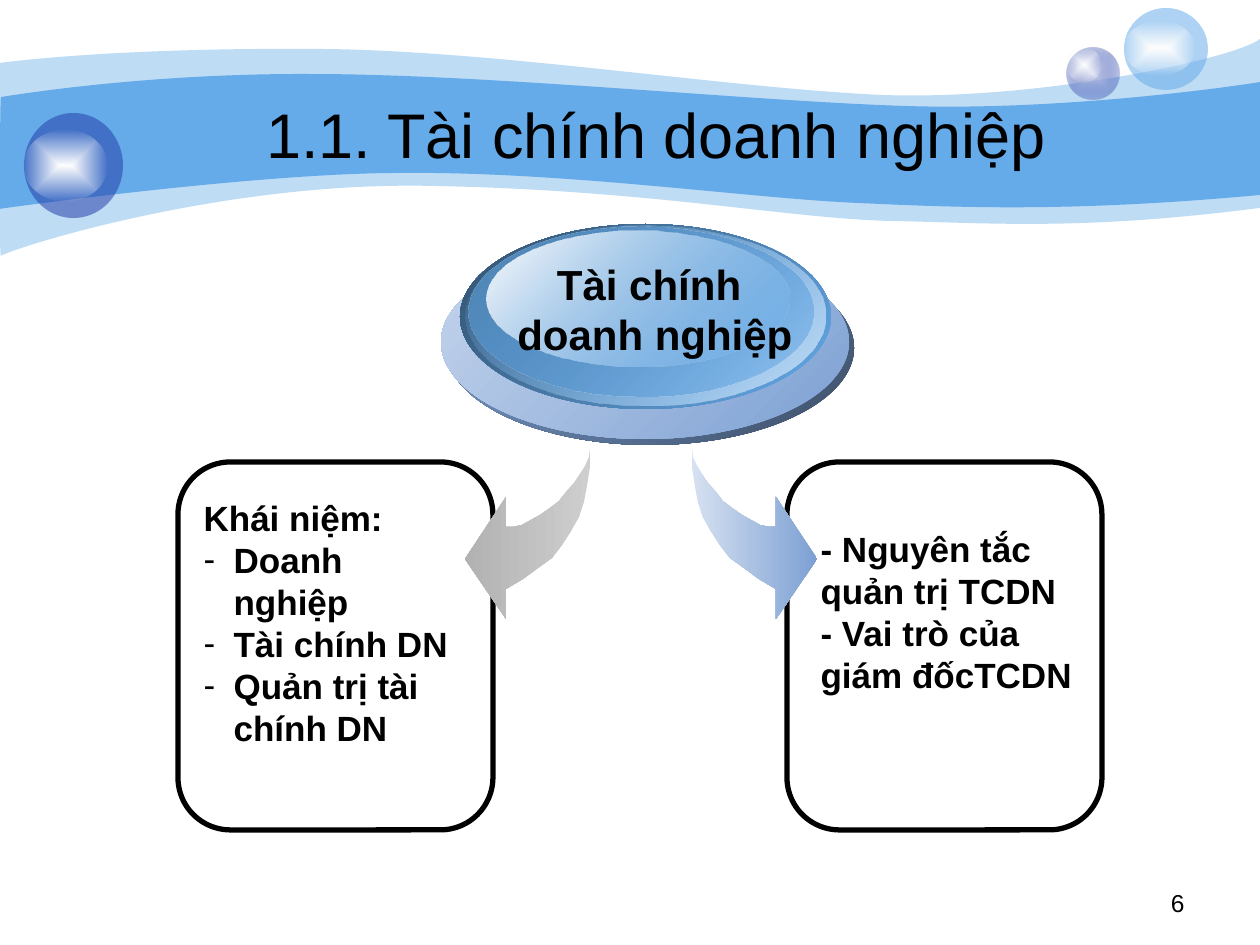
from typing import NamedTuple

from lxml import etree
from pptx import Presentation
from pptx import util as u
from pptx.dml.color import RGBColor
from pptx.enum import shapes, text
from pptx.oxml.ns import qn

PX = 914400 / 126
BLACK, BLUE, NAVY, STEEL, WHITE = "000000", "65AAE9", "233DA9", "7DA0D3", "FFFFFF"
SHAPE = shapes.MSO_SHAPE
ALIGN = text.PP_ALIGN


class Box(NamedTuple):
    left: int
    top: int
    width: int
    height: int


class Stop(NamedTuple):
    color: str
    alpha: int = 100


class Paint(NamedTuple):
    """One stop is a flat fill; two make a gradient, radial when angle is None."""
    stops: tuple[Stop, ...]
    angle: int | None = None


class Oval(NamedTuple):
    box: Box
    paint: Paint


class Line(NamedTuple):
    words: str
    dashed: bool = False


def px(length: float) -> u.Emu:
    return u.Emu(round(length * PX))


def rgb(color: str) -> RGBColor:
    return RGBColor.from_string(color)


def add_color(parent, stop: Stop) -> None:
    color = etree.SubElement(parent, qn("a:srgbClr"), val=stop.color)
    if stop.alpha < 100:
        etree.SubElement(color, qn("a:alpha"), val=str(stop.alpha * 1000))


def paint_shape(shape, paint: Paint) -> None:
    shape.shadow.inherit = False
    shape.line.fill.background()
    if len(paint.stops) == 1:
        shape.fill.solid()
        solid = shape._element.spPr.find(qn("a:solidFill"))
        solid.clear()
        add_color(solid, paint.stops[0])
        return
    shape.fill.gradient()
    gradient = shape._element.spPr.find(qn("a:gradFill"))
    gradient.clear()
    gradient.set("rotWithShape", "1")
    stop_list = etree.SubElement(gradient, qn("a:gsLst"))
    for position, stop in zip((0, 100000), paint.stops):
        add_color(etree.SubElement(stop_list, qn("a:gs"), pos=str(position)), stop)
    if paint.angle is None:
        radial = etree.SubElement(gradient, qn("a:path"), {"path": "rect"})
        etree.SubElement(radial, qn("a:fillToRect"), dict.fromkeys("ltrb", "50000"))
    else:
        etree.SubElement(gradient, qn("a:lin"), ang=str(paint.angle * 60000), scaled="1")


def add_preset(slide, kind, box: Box):
    return slide.shapes.add_shape(kind, *map(px, box))


def add_oval(slide, oval: Oval) -> None:
    paint_shape(add_preset(slide, SHAPE.OVAL, oval.box), oval.paint)


def add_card(slide, box: Box) -> None:
    card = add_preset(slide, SHAPE.ROUNDED_RECTANGLE, box)
    card.shadow.inherit = False
    card.fill.background()
    card.line.color.rgb = rgb(BLACK)
    card.line.width = u.Pt(3)


def add_outline(slide, nodes: list[tuple[int, ...]], paint: Paint) -> None:
    """Draw corners (x, y) and cubic curves (two controls and an end)."""
    corners = [node[-2:] for node in nodes]
    builder = slide.shapes.build_freeform(*corners[0], scale=PX)
    builder.add_line_segments(corners[1:], close=True)
    outline = builder.convert_to_shape()
    left, top = (min(axis) for axis in zip(*corners))
    segments = next(outline._element.iter(qn("a:lnTo"))).getparent()
    for segment, node in zip(list(segments)[1:], nodes[1:]):
        if len(node) == 6:
            curve = etree.Element(qn("a:cubicBezTo"))
            for x, y in zip(node[::2], node[1::2]):
                etree.SubElement(curve, qn("a:pt"), x=str(x - left), y=str(y - top))
            segments.replace(segment, curve)
    paint_shape(outline, paint)


def write(holder, box: Box, lines: list[Line], size: int, bold: bool = False,
          align=ALIGN.LEFT, wrap: bool = True) -> None:
    holder.left, holder.top, holder.width, holder.height = map(px, box)
    frame = holder.text_frame
    frame.word_wrap = wrap
    frame.auto_size = text.MSO_AUTO_SIZE.NONE
    frame.vertical_anchor = text.MSO_ANCHOR.TOP
    for index, line in enumerate(lines):
        paragraph = frame.add_paragraph() if index else frame.paragraphs[0]
        paragraph.alignment = align
        paragraph.space_before = u.Pt(0)
        properties = paragraph._p.get_or_add_pPr()
        indent = px(30) if line.dashed else 0
        properties.set("marL", str(indent))
        properties.set("indent", str(-indent))
        if line.dashed:
            add_color(etree.SubElement(properties, qn("a:buClr")), Stop(BLACK))
            etree.SubElement(properties, qn("a:buChar"), char="-")
        else:
            etree.SubElement(properties, qn("a:buNone"))
        run = paragraph.add_run()
        run.text = line.words
        run.font.name, run.font.size, run.font.bold = "Arial", u.Pt(size), bold
        run.font.color.rgb = rgb(BLACK)


def diagonal(first: Stop, last: Stop) -> Paint:
    return Paint((first, last), 225)


GLOW = Paint((Stop(WHITE), Stop(WHITE, 0)))
OUTER_WAVE = [
    (0, 63), (30, 59, 135, 48, 311, 49), (486, 49, 725, 88, 881, 95),
    (1036, 101, 1235, 59, 1260, 39), (1260, 208), (1081, 231, 992, 223, 888, 221),
    (784, 218, 649, 190, 432, 186), (217, 181, 5, 251, 1, 256), (-1, 262, 0, 95, 0, 63)]
INNER_WAVE = [
    (1, 97), (3, 97, 139, 73, 312, 74), (486, 74, 750, 101, 905, 106),
    (1060, 111, 1230, 87, 1260, 82), (1260, 195), (1075, 212, 964, 208, 859, 203),
    (755, 199, 563, 171, 399, 173), (256, 173, -3, 209, -1, 209), (0, 209, 0, 97, 1, 97)]
BUBBLES = [
    Oval(Box(1067, 48, 53, 51), Paint((Stop("C7CEE9"), Stop(NAVY, 31)))),
    Oval(Box(1067, 48, 35, 34), GLOW),
    Oval(Box(1124, 8, 84, 82), Paint((Stop(BLUE, 53),))),
    Oval(Box(1124, 21, 71, 54), GLOW),
    Oval(Box(24, 113, 99, 105), Paint((Stop(NAVY, 53),))),
    Oval(Box(24, 130, 83, 71), GLOW)]
DISC = [
    Oval(Box(446, 251, 408, 194), diagonal(Stop("3D4E67"), Stop(STEEL))),
    Oval(Box(441, 245, 408, 194), diagonal(Stop(STEEL), Stop("C5D5EC"))),
    Oval(Box(460, 224, 371, 185), diagonal(Stop(BLUE), Stop("2F4F6C"))),
    Oval(Box(465, 226, 360, 180), diagonal(Stop("C9E1F7"), Stop(BLUE, 0))),
    Oval(Box(469, 227, 344, 169), diagonal(Stop(BLUE, 48), Stop("5087B9"))),
    Oval(Box(487, 231, 303, 136), diagonal(Stop(BLUE, 38), Stop(WHITE)))]
# Offsets from the arrow's tail: outward, then down.
ARROW = [
    (0, 0), (0, 19), (3, 38), (6, 54), (11, 69), (19, 83), (28, 97), (38, 110),
    (52, 120), (67, 131), (84, 141), (84, 171), (125, 111), (84, 49), (84, 79),
    (77, 79), (68, 77), (59, 72), (50, 67), (40, 60), (31, 53), (24, 44), (16, 35),
    (10, 26), (5, 18), (1, 9), (0, 0)]


def add_arrow(slide, tail_x: int, direction: int, paint: Paint) -> None:
    points = [(tail_x + direction * out, 448 + down) for out, down in ARROW]
    add_outline(slide, points, paint)


def main() -> None:
    deck = Presentation()
    deck.slide_width, deck.slide_height = px(1260), px(945)
    slide = deck.slides.add_slide(deck.slide_layouts.get_by_name("Two Content"))
    title, concepts, principles = slide.placeholders

    add_outline(slide, OUTER_WAVE, Paint((Stop(BLUE, 41),)))
    add_outline(slide, INNER_WAVE, Paint((Stop(BLUE),)))
    for bubble in BUBBLES:
        add_oval(slide, bubble)
    for left in (787, 178):
        add_card(slide, Box(left, 462, 315, 368))
    add_arrow(slide, 590, -1, Paint((Stop("CECECE"), Stop("B2B2B2")), 180))
    add_arrow(slide, 692, 1, Paint((Stop("D6E1F1"), Stop(STEEL)), 0))
    for layer in DISC:
        add_oval(slide, layer)

    topic = slide.shapes.add_textbox(0, 0, 0, 0)
    for holder in (concepts, topic, principles, title):
        slide.shapes._spTree.append(holder._element)
    page_number = slide.shapes.add_textbox(0, 0, 0, 0)
    write(concepts, Box(191, 490, 281, 223),
          [Line("Khái niệm:"), Line("Doanh nghiệp", True), Line("Tài chính DN", True),
           Line("Quản trị tài chính DN", True)], 20, bold=True)
    write(topic, Box(505, 252, 300, 113), [Line("Tài chính "), Line("doanh nghiệp")], 24,
          bold=True, align=ALIGN.CENTER, wrap=False)
    write(principles, Box(808, 521, 281, 181),
          [Line("- Nguyên tắc quản trị TCDN"), Line("- Vai trò của giám đốcTCDN")],
          20, bold=True)
    write(title, Box(199, 89, 914, 88), [Line("1.1. Tài chính doanh nghiệp")], 36,
          align=ALIGN.CENTER)
    write(page_number, Box(903, 882, 294, 44), [Line("6")], 14, align=ALIGN.RIGHT)
    deck.save("out.pptx")


if __name__ == "__main__":
    main()
